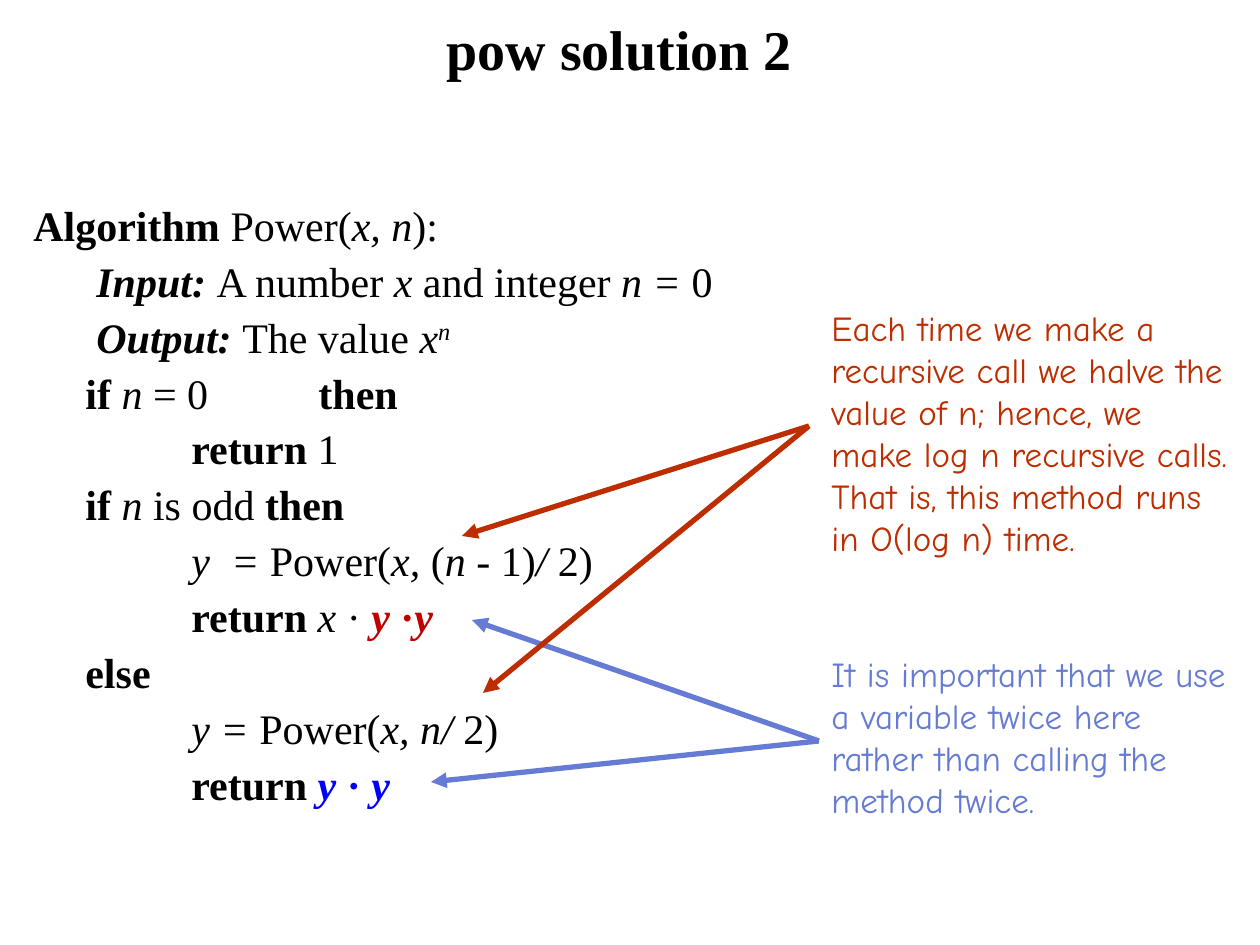
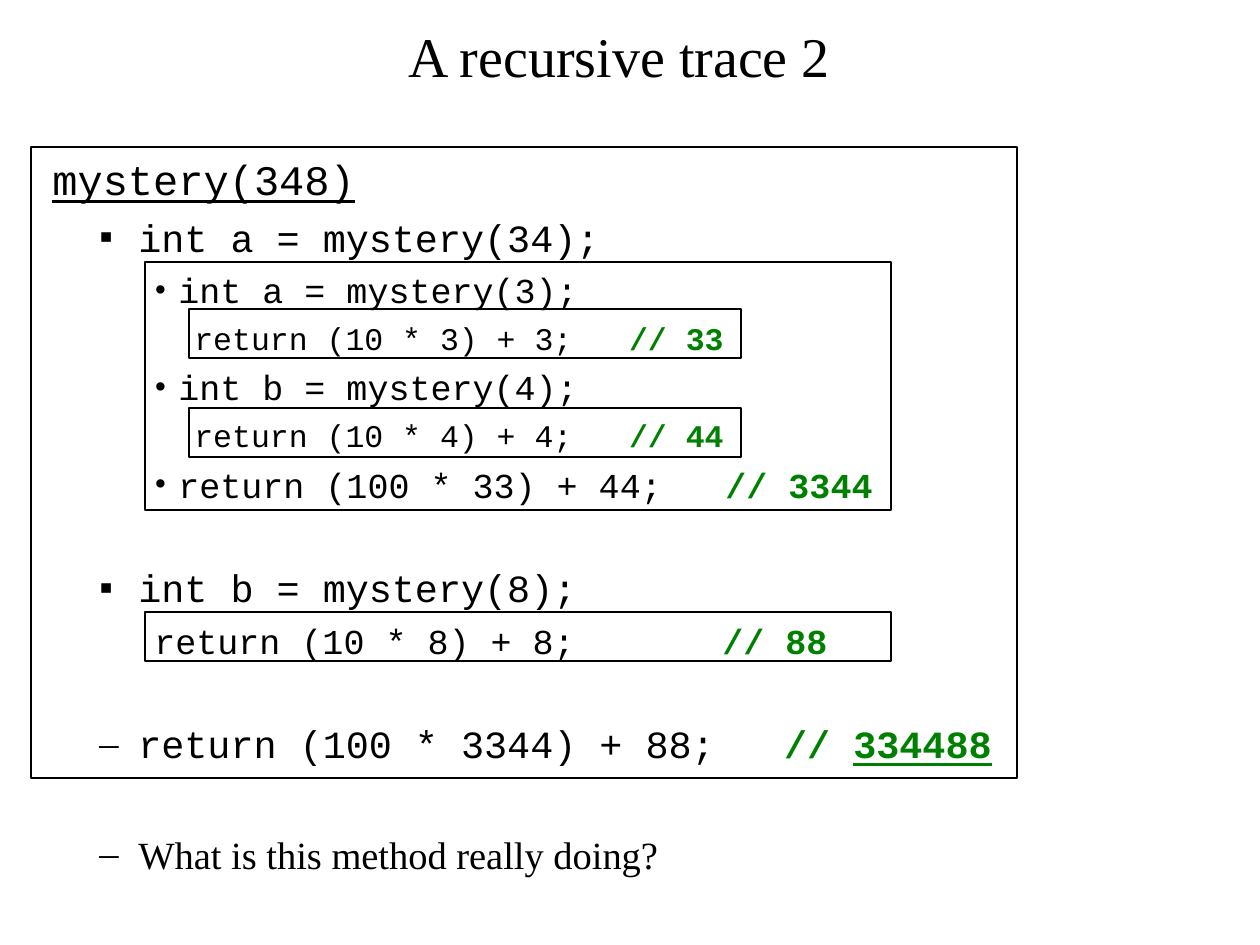
import pptx
import pptx.util
import pptx.dml.color
import pptx.enum.shapes
import pptx.enum.text
import lxml.etree

PX = 914400 // 126
THEME = {
    "serif": "Times New Roman", "mono": "Courier New", "hand": "Comic Neue",
    "black": "000000", "rust": "BE2D00", "sky": "657BD4",
    "red": "C00000", "blue": "0000FF", "green": "008000",
    "title": 32, "algo": 24, "note": 20, "code": (24, 22, 20, 18),
    "thin": 0.75, "thick": 3,
}
NS = "{http://schemas.openxmlformats.org/drawingml/2006/main}"
Pt = pptx.util.Pt
RGB = pptx.dml.color.RGBColor.from_string


def frame(slide, left, top, width, height):
    """Add a wrapping text box, in pixels, and return its text frame."""
    box = slide.shapes.add_textbox(left * PX, top * PX, width * PX, height * PX)
    box.text_frame.word_wrap = True
    return box.text_frame


def write(para, runs, font, size):
    """Add (text, flags, colour) runs; a number as text is a gap in points."""
    for text, flags, color in runs:
        run = para.add_run()
        wide = not isinstance(text, str)
        run.text = " " if wide else text
        run.font.name = THEME[font]
        run.font.size = Pt(size)
        run.font.color.rgb = RGB(THEME[color])
        run.font.bold = "b" in flags
        run.font.italic = "i" in flags
        run.font.underline = "u" in flags
        props = run._r.get_or_add_rPr()
        if wide:
            props.set("spc", str(round(text * 100)))
        if "^" in flags:
            props.set("baseline", "30000")


deck = pptx.Presentation()
deck.slide_width = 1260 * PX
deck.slide_height = 945 * PX

# Both slides and their titles
slides = []
for text, flags, top, height in [("pow solution 2", "b", 1, 94),
                                 ("A recursive trace 2", "", 6, 98)]:
    slide = deck.slides.add_slide(deck.slide_layouts[6])
    title = frame(slide, 84, top, 1071, height)
    title.vertical_anchor = pptx.enum.text.MSO_ANCHOR.MIDDLE
    para = title.paragraphs[0]
    para.alignment = pptx.enum.text.PP_ALIGN.CENTER
    write(para, [(text, flags, "black")], "serif", THEME["title"])
    slides.append(slide)
power, trace = slides

# Slide 1: the algorithm, each line with its indent in pixels
HEAD, STEP, DEEP = 63, 52, 158
K = "black"
algo = [
    (0, [("Algorithm ", "b", K), ("Power(", "", K), ("x, n", "i", K), ("):", "", K)]),
    (HEAD, [("Input: ", "bi", K), ("A number ", "", K), ("x ", "i", K),
            ("and integer ", "", K), ("n = ", "i", K), ("0", "", K)]),
    (HEAD, [("Output: ", "bi", K), ("The value ", "", K), ("x", "i", K),
            ("n", "i^", K)]),
    (STEP, [("if ", "b", K), ("n ", "i", K), ("= 0", "", K), (57, "", K),
            ("then", "b", K)]),
    (DEEP, [("return ", "b", K), ("1", "", K)]),
    (STEP, [("if ", "b", K), ("n ", "i", K), ("is odd ", "", K), ("then", "b", K)]),
    (DEEP, [("y", "i", K), (6, "i", K), ("= ", "i", K), ("Power(", "", K),
            ("x, ", "i", K), ("(", "", K), ("n - ", "i", K), ("1)", "", K),
            ("/ ", "i", K), ("2)", "", K)]),
    (DEEP, [("return ", "b", K), ("x ", "i", K), ("· ", "", K),
            ("y ", "bi", "red"), ("·", "b", "red"), ("y", "bi", "red")]),
    (STEP, [("else", "b", K)]),
    (DEEP, [("y = ", "i", K), ("Power(", "", K), ("x, n/ ", "i", K), ("2)", "", K)]),
    (DEEP, [("return ", "b", K), ("y ", "bi", "blue"), ("·", "b", "blue"),
            (" y", "bi", "blue")]),
]
body = frame(power, 21, 199, 914, 630)
for row, (dent, runs) in enumerate(algo):
    para = body.add_paragraph() if row else body.paragraphs[0]
    para.line_spacing = 0.9
    para.space_before = Pt(6)
    para._p.get_or_add_pPr().set("marL", str(dent * PX))
    write(para, runs, "serif", THEME["algo"])

# Slide 1: notes, then the arrows that lead from them
notes = [
    ("sky", 646, 183, "It is important that we use a variable twice here "
     "rather than calling the method twice."),
    ("rust", 300, 310, "Each time we make a recursive call we halve the value "
     "of n; hence, we make log n recursive calls. That is, this method runs "
     "in O(log n) time."),
]
for color, top, height, text in notes:
    note = frame(power, 819, top, 421, height)
    write(note.paragraphs[0], [(text, "", color)], "hand", THEME["note"])

arrows = [("sky", (472, 620), (819, 741)), ("sky", (431, 782), (819, 741)),
          ("rust", (462, 536), (809, 426)), ("rust", (483, 693), (809, 426))]
for color, tip, tail in arrows:
    arrow = power.shapes.add_connector(
        pptx.enum.shapes.MSO_CONNECTOR.STRAIGHT, *[n * PX for n in tip + tail])
    arrow.line.color.rgb = RGB(THEME[color])
    arrow.line.width = Pt(THEME["thick"])
    lxml.etree.SubElement(arrow.line._get_or_add_ln(), NS + "headEnd", type="triangle")
    lxml.etree.SubElement(arrow._element.spPr, NS + "effectLst")

# Slide 2: level, bullet, code, spaces before the comment, comment, gap above
calls = [
    (0, "", "mystery(348)", 0, "", 0),
    (1, "▪", "int a = mystery(34);", 0, "", 0),
    (2, "•", "int a = mystery(3);", 0, "", 0),
    (3, "", "return (10 * 3) + 3;", 3, "// 33", 0),
    (2, "•", "int b = mystery(4);", 0, "", 0),
    (3, "", "return (10 * 4) + 4;", 3, "// 44", 0),
    (2, "•", "return (100 * 33) + 44;", 3, "// 3344", 0),
    (1, "▪", "int b = mystery(8);", 0, "", 28),
    (2, "", "return (10 * 8) + 8;", 7, "// 88", 28 * 0),
    (1, "–", "return (100 * 3344) + 88;", 3, "// ", 28),
    (1, "–", "What is this method really doing?", 0, "", 31),
]
edges = [(0, 0), (86, 39), (126, 24), (166, 24)]  # text edge, hang of the bullet
body = frame(trace, 40, 147, 1210, 714)
for row, (level, mark, code, blank, remark, gap) in enumerate(calls):
    size = THEME["code"][level]
    edge, hang = edges[level]
    para = body.add_paragraph() if row else body.paragraphs[0]
    para.level = level
    para.space_before = Pt(round(size * 0.26 + gap, 1))
    props = para._p.get_or_add_pPr()
    props.set("marL", str((edge if mark else edge - hang) * PX))
    props.set("indent", str(-hang * PX if mark else 0))
    if mark:
        lxml.etree.SubElement(props, NS + "buFont", typeface=THEME["serif"])
        lxml.etree.SubElement(props, NS + "buChar", char=mark)
    runs = [(code, "" if row else "u", K)]
    if remark:
        runs += [((blank - 1) * size * 0.6, "", K), (remark, "b", "green")]
    if remark == "// ":
        runs.append(("334488", "bu", "green"))
    write(para, runs, "serif" if code.startswith("What") else "mono", size)

# Slide 2: one frame around each call
for left, top, width, height in [(145, 262, 746, 248), (145, 612, 746, 49),
                                 (189, 309, 552, 49), (189, 408, 552, 49),
                                 (31, 147, 986, 631)]:
    rect = trace.shapes.add_shape(pptx.enum.shapes.MSO_SHAPE.RECTANGLE,
                                  left * PX, top * PX, width * PX, height * PX)
    rect.shadow.inherit = False
    rect.fill.background()
    rect.line.color.rgb = RGB(THEME["black"])
    rect.line.width = Pt(THEME["thin"])

deck.save("out.pptx")
